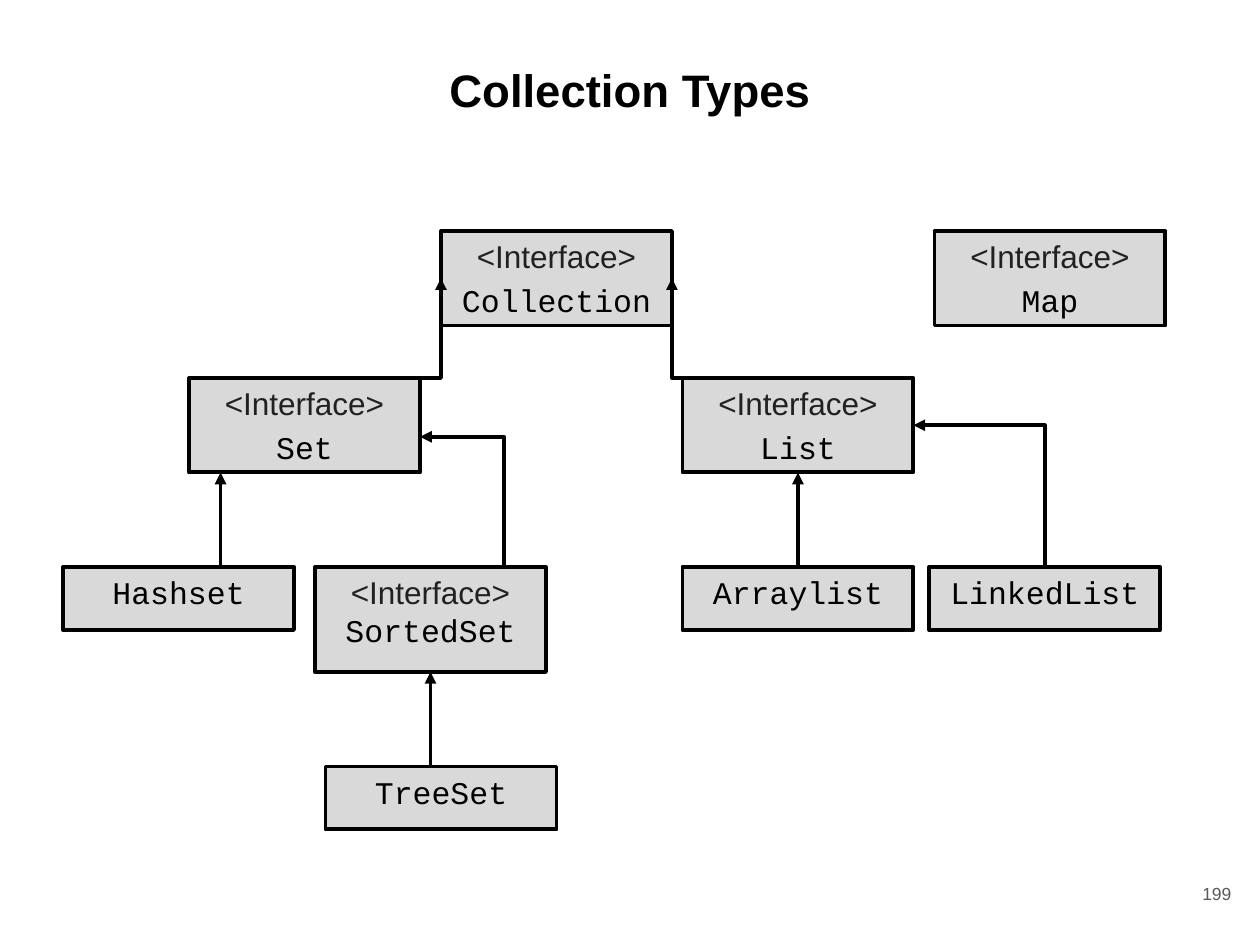
from lxml import etree
from pptx import Presentation
from pptx.dml.color import RGBColor
from pptx.enum.shapes import MSO_CONNECTOR, MSO_SHAPE
from pptx.enum.text import MSO_ANCHOR, PP_ALIGN
from pptx.oxml.ns import qn
from pptx.util import Inches, Pt

STRAIGHT, ELBOW = MSO_CONNECTOR.STRAIGHT, MSO_CONNECTOR.ELBOW
RECT = MSO_SHAPE.RECTANGLE
TOP, MIDDLE = MSO_ANCHOR.TOP, MSO_ANCHOR.MIDDLE
CENTER, RIGHT = PP_ALIGN.CENTER, PP_ALIGN.RIGHT
BLACK = RGBColor(0x00, 0x00, 0x00)
DARK = RGBColor(0x21, 0x21, 0x21)
MUTED = RGBColor(0x59, 0x59, 0x59)
GRAY = RGBColor(0xD9, 0xD9, 0xD9)
SANS, MONO = "Arial", "Courier New"
WIDTH, HEIGHT = Inches(10), Inches(7.5)
COLS, ROWS = 120, 90
BOX_W, TALL, LOW = 22, 9, 6


def x(col):
    """Return the horizontal position of a grid column."""
    return round(WIDTH * col / COLS)


def y(row):
    """Return the vertical position of a grid row."""
    return round(HEIGHT * row / ROWS)


def add_run(p, text, size, font, color, bold=False):
    """Add one styled run to a paragraph."""
    r = p.add_run()
    r.text = text
    r.font.size, r.font.name, r.font.bold = Pt(size), font, bold
    r.font.color.rgb = color


def add_label(s, col, row, cols, rows, inset, align, anchor, *run):
    """Add a text box holding a single run."""
    tf = s.shapes.add_textbox(x(col), y(row), x(cols), y(rows)).text_frame
    tf.word_wrap = True
    tf.vertical_anchor = anchor
    tf.margin_left = tf.margin_right = Inches(inset)
    tf.margin_top = tf.margin_bottom = Inches(inset)
    tf.paragraphs[0].alignment = align
    add_run(tf.paragraphs[0], *run)


def add_box(s, col, row, rows):
    """Add an empty type box and return it with its first paragraph."""
    sp = s.shapes.add_shape(RECT, x(col), y(row), x(BOX_W), y(rows))
    sp.shadow.inherit = False
    sp.fill.solid()
    sp.fill.fore_color.rgb = GRAY
    sp.line.color.rgb = BLACK
    sp.line.width = Pt(2.25)
    tf = sp.text_frame
    tf.word_wrap = True
    tf.vertical_anchor = TOP
    p = tf.paragraphs[0]
    p.alignment = CENTER
    return sp, p


def add_class(s, name, col, row):
    """Add a box for a concrete class."""
    sp, p = add_box(s, col, row, LOW)
    add_run(p, name, 18, MONO, BLACK)
    return sp


def add_interface(s, name, col, row, rows=TALL, one_paragraph=False):
    """Add a box for an interface, its name below the stereotype."""
    sp, p = add_box(s, col, row, rows)
    add_run(p, "<Interface>", 18, SANS, DARK)
    if one_paragraph:
        p.add_line_break()
    else:
        p = sp.text_frame.add_paragraph()
        p.alignment = CENTER
        p.space_before = Pt(3.6)
    add_run(p, name, 18, MONO, BLACK)
    return sp


def add_arrow(s, kind, begin, end, arrow_end="headEnd"):
    """Add a connector between two grid points, elbows running sideways first."""
    c = s.shapes.add_connector(kind, x(begin[0]), y(begin[1]), x(end[0]), y(end[1]))
    c.line.color.rgb = BLACK
    c.line.width = Pt(2.25)
    pr = c._element.spPr
    etree.SubElement(pr.find(qn("a:ln")), qn("a:" + arrow_end), type="triangle")
    etree.SubElement(pr, qn("a:effectLst"))
    if kind == ELBOW:
        pr.find(qn("a:prstGeom")).set("prst", "bentConnector2")
    return c


def main():
    """Build the slide and save it."""
    prs = Presentation()
    prs.slide_width, prs.slide_height = WIDTH, HEIGHT
    s = prs.slides.add_slide(prs.slide_layouts[6])

    add_label(s, 8, 5.75, 104, 8.3, 0.01, CENTER, TOP,
              "Collection Types", 26, SANS, BLACK, True)

    add_interface(s, "Collection", 42, 22)
    add_interface(s, "Set", 18, 36)
    list_box = add_interface(s, "List", 65, 36)
    add_class(s, "Hashset", 6, 54)
    sorted_set = add_interface(s, "SortedSet", 30, 54, 10, True)
    array_list = add_class(s, "Arraylist", 65, 54)
    add_class(s, "LinkedList", 88.5, 54)
    add_class(s, "TreeSet", 31, 73)
    add_interface(s, "Map", 89, 22)

    add_arrow(s, ELBOW, (76, 36), (64, 26.5), "tailEnd")
    add_arrow(s, ELBOW, (29, 36), (42, 26.5), "tailEnd")
    add_arrow(s, ELBOW, (40, 41.6), (48, 54))
    add_arrow(s, ELBOW, (87, 40.5), (99.5, 54))
    add_arrow(s, STRAIGHT, (21, 45), (21, 54))
    to_list = add_arrow(s, STRAIGHT, (76, 45), (76, 54))
    to_list.begin_connect(list_box, 2)
    to_list.end_connect(array_list, 0)
    to_sorted = add_arrow(s, STRAIGHT, (41, 64), (41, 73))
    to_sorted.begin_connect(sorted_set, 2)

    add_label(s, 111.25, 81.6, 7.2, 6.9, 0.1, RIGHT, MIDDLE,
              "199", 10, SANS, MUTED)
    prs.save("out.pptx")


if __name__ == "__main__":
    main()
